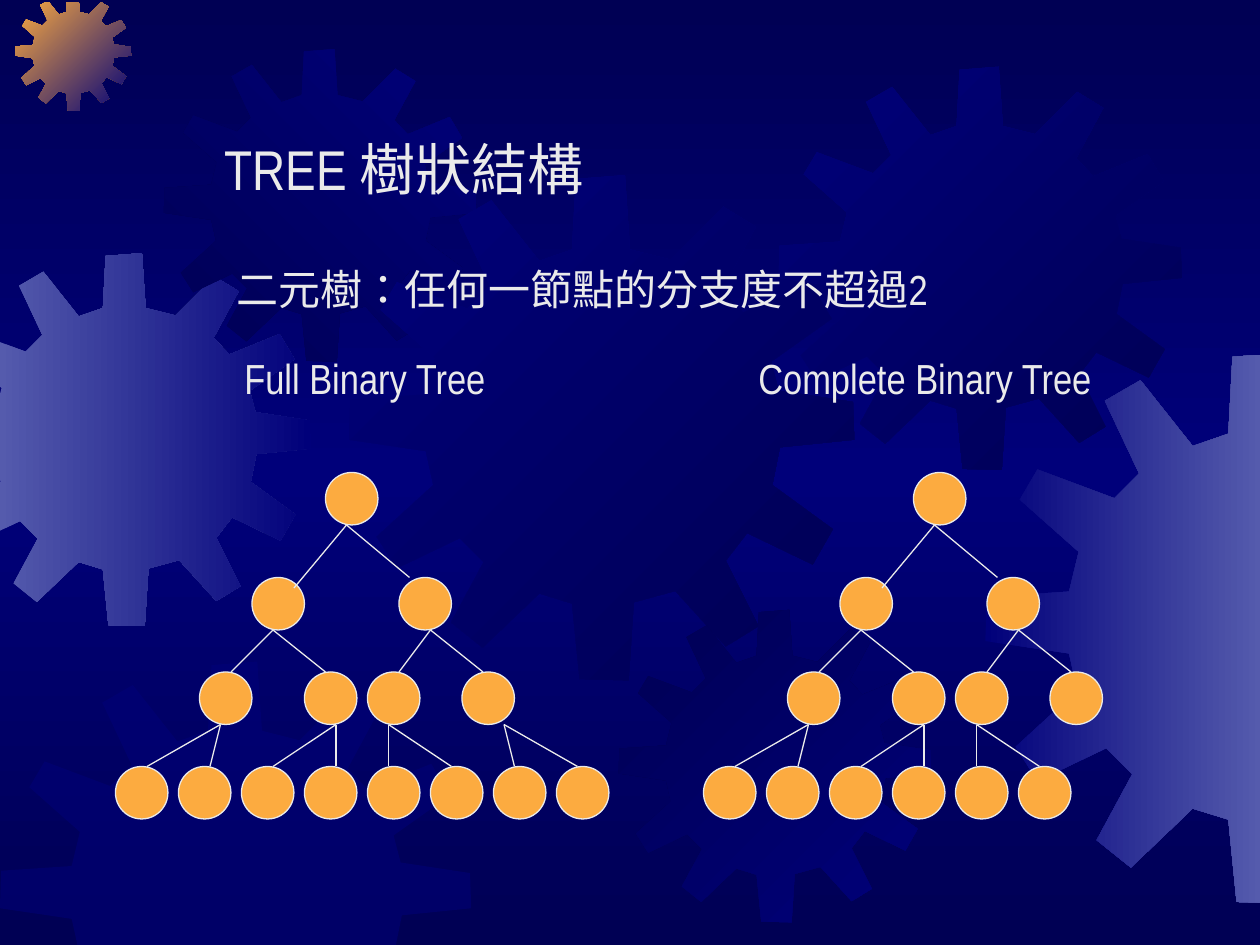
from copy import deepcopy
from dataclasses import dataclass
from typing import Optional

from pptx import Presentation, util as u
from pptx.dml.color import RGBColor
from pptx.enum import lang, shapes, text
from pptx.oxml.ns import qn
from pptx.oxml.xmlchemy import OxmlElement

NAVY = RGBColor(0x00, 0x00, 0x54)
BLUE = RGBColor(0x00, 0x00, 0x7A)
LILAC = RGBColor(0x55, 0x5B, 0xAD)
ORANGE = RGBColor(0xFC, 0xAB, 0x40)
PALE = RGBColor(0xEA, 0xEA, 0xEA)
FONT = "Arial Narrow"

COLS, ROWS = 120, 90
CELL = u.Inches(10) / COLS
NODE = 5
TREE_SHIFT = 56
BOUNDS = [(0, -0.12, 1), (0, 120.12, -1), (1, 0.24, 1), (1, 90.48, -1)]

GEAR_SIZE = 401
GEAR_OUTLINE = [
    (255, 67), (223, 59), (219, 0), (180, 3), (177, 59), (151, 68),
    (113, 20), (87, 35), (112, 88), (94, 106), (38, 85), (25, 107),
    (68, 145), (61, 174), (1, 178), (0, 210), (61, 219), (67, 246),
    (22, 287), (38, 312), (88, 288), (107, 307), (81, 355), (106, 375),
    (151, 332), (177, 340), (183, 400), (222, 401), (226, 339), (259, 330),
    (299, 374), (325, 358), (299, 306), (316, 284), (368, 309), (384, 281),
    (336, 246), (342, 216), (401, 210), (400, 180), (341, 171), (335, 148),
    (383, 114), (367, 87), (313, 109), (296, 91), (323, 41), (297, 25),
]


@dataclass(frozen=True)
class Gear:
    col: float
    row: float
    size: float
    start: RGBColor
    end: Optional[RGBColor] = None
    angle: int = 0


@dataclass(frozen=True)
class Label:
    words: str
    col: float
    row: float
    cols: float
    rows: float = 6
    size: int = 24


@dataclass(frozen=True)
class Fork:
    parent: tuple[int, int]
    children: tuple[tuple[int, int], tuple[int, int]]


GEARS = [
    Gear(-5.88, 24.12, 35.52, LILAC, BLUE),
    Gear(1.44, -0.48, 11.04, ORANGE, BLUE, 45),
    Gear(15.6, 4.68, 29.76, NAVY, BLUE, 315),
    Gear(33.24, 16.68, 48.12, BLUE, NAVY, 45),
    Gear(0, 63, 44.88, BLUE),
    Gear(58.92, 58.08, 29.76, NAVY, BLUE, 45),
    Gear(74.16, 6.36, 38.4, BLUE, NAVY, 45),
    Gear(93.84, 33.6, 52.44, BLUE, LILAC),
]
TITLE = Label("TREE 樹狀結構", 20.16, 12.24, 40, 7.68, 32)
LABELS = [
    Label("二元樹：任何一節點的分支度不超過2", 21.36, 24.48, 72),
    Label("Full Binary Tree", 22.08, 33, 27),
    Label("Complete Binary Tree", 71.04, 33, 36),
]
INNER_NODES = [(31, 45), (24, 55), (38, 55), (19, 64), (29, 64), (35, 64), (44, 64)]
LEAVES = [(11 + 6 * i, 73) for i in range(8)]
FORKS = [
    Fork((33, 50), ((28, 56), (39, 55))),
    Fork((26, 60), ((22, 64), (31, 64))),
    Fork((41, 60), ((38, 64), (46, 64))),
    Fork((21, 69), ((14, 73), (20, 73))),
    Fork((32, 69), ((26, 73), (32, 73))),
    Fork((37, 69), ((37, 73), (43, 73))),
    Fork((48, 69), ((49, 73), (55, 73))),
]


def grid(cells: float) -> u.Emu:
    return u.Emu(round(cells * CELL))


def clip(points: list, axis: int, limit: float, sign: int) -> list:
    kept = []
    for a, b in zip(points[-1:] + points[:-1], points):
        da, db = (sign * (p[axis] - limit) for p in (a, b))
        if da * db < 0:
            t = da / (da - db)
            kept.append(tuple(m + t * (n - m) for m, n in zip(a, b)))
        if db >= 0:
            kept.append(b)
    return kept


def set_gradient(fill, start: RGBColor, end: RGBColor, angle: int) -> None:
    fill.gradient()
    fill.gradient_angle = (360 - angle) % 360
    for stop, color, position in zip(fill.gradient_stops, (start, end), (0, 1)):
        stop.color.rgb = color
        stop.position = position


def draw_background(s) -> None:
    fill = s.background.fill
    set_gradient(fill, NAVY, NAVY, 90)
    stops = next(s.element.iter(qn("a:gsLst")))
    stops.insert(1, deepcopy(stops[0]))
    middle = fill.gradient_stops[1]
    middle.color.rgb = BLUE
    middle.position = 0.5


def draw_gear(s, gear: Gear) -> None:
    scale = gear.size / GEAR_SIZE
    points = [(gear.col + x * scale, gear.row + y * scale) for x, y in GEAR_OUTLINE]
    for axis, limit, sign in BOUNDS:
        points = clip(points, axis, limit, sign)
    corners = [(grid(x), grid(y)) for x, y in points]
    builder = s.shapes.build_freeform(*corners[0])
    builder.add_line_segments(corners[1:], close=True)
    sp = builder.convert_to_shape()
    sp.shadow.inherit = False
    sp.line.fill.background()
    if gear.end is not None:
        set_gradient(sp.fill, gear.start, gear.end, gear.angle)
    else:
        sp.fill.solid()
        sp.fill.fore_color.rgb = gear.start
        alpha = OxmlElement("a:alpha")
        alpha.set("val", "50000")
        next(sp.element.spPr.iter(qn("a:srgbClr"))).append(alpha)


def write_label(sp, label: Label) -> None:
    sp.left, sp.top = grid(label.col), grid(label.row)
    sp.width, sp.height = grid(label.cols), grid(label.rows)
    tf = sp.text_frame
    tf.text = label.words
    tf.word_wrap = True
    tf.auto_size = text.MSO_AUTO_SIZE.NONE
    tf.vertical_anchor = text.MSO_ANCHOR.TOP
    p = tf.paragraphs[0]
    p.alignment = text.PP_ALIGN.LEFT
    r = p.runs[0]
    r.font.name = FONT
    r.font.size = u.Pt(label.size)
    r.font.color.rgb = PALE
    r.font.language_id = lang.MSO_LANGUAGE_ID.TRADITIONAL_CHINESE


def set_outline(sp) -> None:
    sp.line.color.rgb = PALE
    sp.line.width = u.Pt(0.75)


def draw_tree(s, nodes: list, forks: list[Fork], shift: int = 0) -> None:
    for col, row in nodes:
        sp = s.shapes.add_shape(shapes.MSO_SHAPE.OVAL, grid(col + shift), grid(row),
                                grid(NODE), grid(NODE))
        sp.shadow.inherit = False
        sp.fill.solid()
        sp.fill.fore_color.rgb = ORANGE
        set_outline(sp)
    for fork in forks:
        x, y = fork.parent
        for col, row in fork.children:
            line = s.shapes.add_connector(shapes.MSO_CONNECTOR.STRAIGHT, grid(x + shift),
                                          grid(y), grid(col + shift), grid(row))
            set_outline(line)
            line.element.spPr.append(OxmlElement("a:effectLst"))


def main() -> None:
    prs = Presentation()
    prs.slide_width, prs.slide_height = grid(COLS), grid(ROWS)
    s = prs.slides.add_slide(prs.slide_layouts[5])
    draw_background(s)
    for gear in GEARS:
        draw_gear(s, gear)
    title = s.shapes.title
    title.element.getparent().append(title.element)
    write_label(title, TITLE)
    for label in LABELS:
        write_label(s.shapes.add_textbox(0, 0, 0, 0), label)
    draw_tree(s, INNER_NODES + LEAVES, FORKS)
    draw_tree(s, INNER_NODES + LEAVES[:-2], FORKS[:-1], TREE_SHIFT)
    prs.save("out.pptx")


if __name__ == "__main__":
    main()
